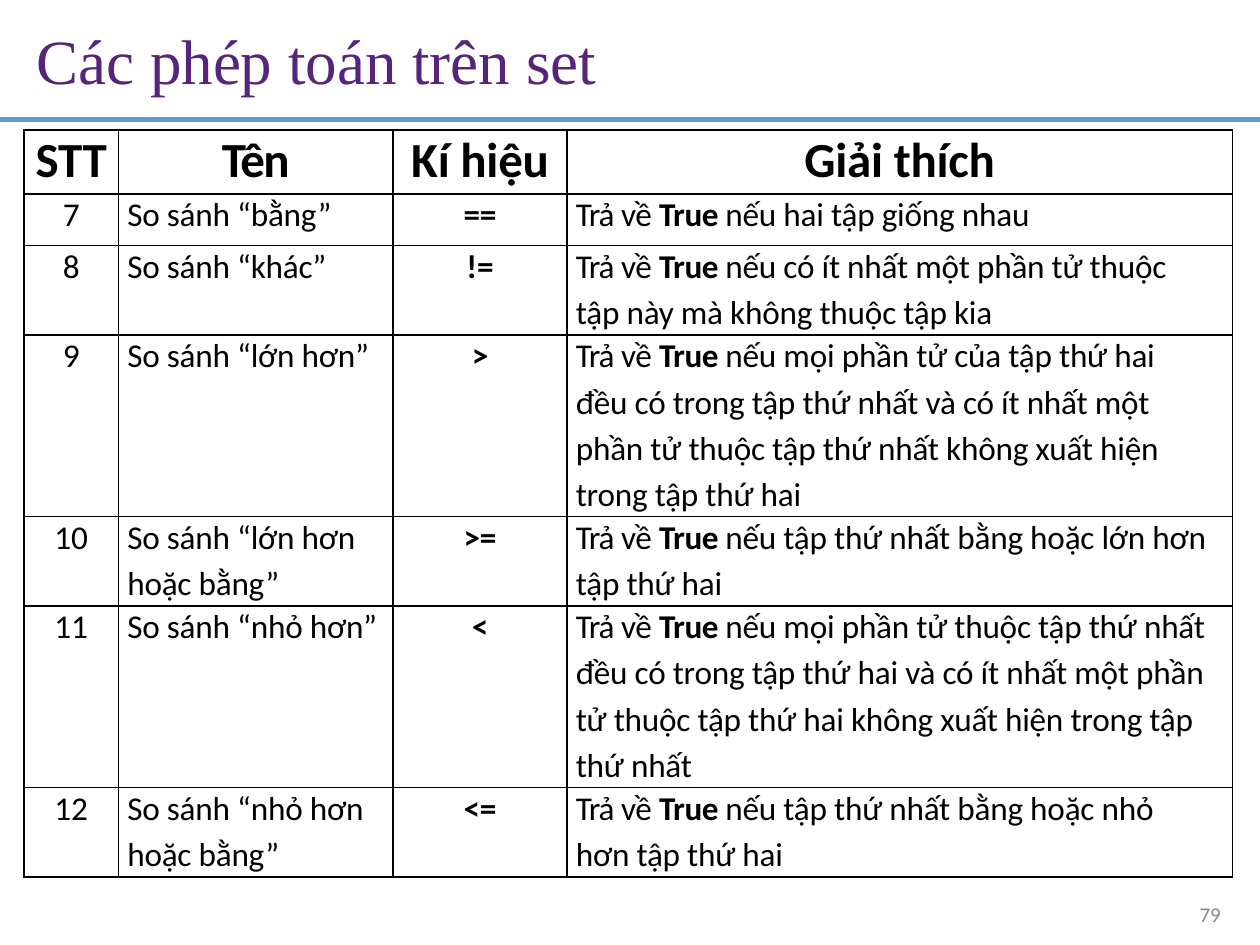
"""Build the slide that explains the comparison operators on sets."""
from dataclasses import dataclass

import lxml.etree
import pptx
import pptx.dml.color
import pptx.enum.shapes
import pptx.enum.text
import pptx.oxml
import pptx.oxml.ns
import pptx.util

WIDTH, HEIGHT = 10, 7.5
CENTER = pptx.enum.text.PP_ALIGN.CENTER
LEFT = pptx.enum.text.PP_ALIGN.LEFT
COLUMNS = (0.75, 2.18, 1.38, 5.28)
HEADER_HEIGHT = 0.51
LINE_HEIGHTS = {1: 0.41, 2: 0.71, 4: 1.44}
LINE_GAP = 3.4


@dataclass(frozen=True)
class Piece:
    text: str
    spacing: float = -0.1
    bold: bool | None = None


@dataclass(frozen=True)
class Line:
    pieces: tuple[Piece, ...]
    size: float = 19
    bold: bool | None = None
    align: pptx.enum.text.PP_ALIGN = LEFT
    before: float = 0.7
    leading: float | None = None
    font: str = "Calibri"
    color: str = "000000"
    indent: float = 0


@dataclass(frozen=True)
class Operator:
    number: int
    name: tuple[str, ...]
    symbol: str
    meaning: tuple[str, ...]
    lines: int


HEADINGS = (Piece("STT"), Piece("Tên", -0.9), Piece("Kí hiệu"), Piece("Giải thích"))
RETURNS_TRUE = (Piece("Trả ", -0.6), Piece("về ", -0.2), Piece("True ", -0.3, True))
OPERATORS = (
    Operator(7, ("So sánh “bằng”",), "==", ("nếu hai tập giống nhau",), 1),
    Operator(8, ("So sánh “khác”",), "!=",
             ("nếu có ít nhất một phần tử thuộc", "tập này mà không thuộc tập kia"), 2),
    Operator(9, ("So sánh “lớn hơn”",), ">",
             ("nếu mọi phần tử của tập thứ hai",
              "đều có trong tập thứ nhất và có ít nhất một",
              "phần tử thuộc tập thứ nhất không xuất hiện",
              "trong tập thứ hai"), 4),
    Operator(10, ("So sánh “lớn hơn", "hoặc bằng”"), ">=",
             ("nếu tập thứ nhất bằng hoặc lớn hơn", "tập thứ hai"), 2),
    Operator(11, ("So sánh “nhỏ hơn”",), "<",
             ("nếu mọi phần tử thuộc tập thứ nhất",
              "đều có trong tập thứ hai và có ít nhất một phần",
              "tử thuộc tập thứ hai không xuất hiện trong tập thứ nhất"), 4),
    Operator(12, ("So sánh “nhỏ hơn", "hoặc bằng”"), "<=",
             ("nếu tập thứ nhất bằng hoặc nhỏ", "hơn tập thứ hai"), 2),
)


def rgb(color: str) -> pptx.dml.color.RGBColor:
    """Turn a hex string into a colour."""
    return pptx.dml.color.RGBColor.from_string(color)


def write(frame, lines: list[Line]) -> None:
    """Fill a text frame with one paragraph per line."""
    for index, line in enumerate(lines):
        paragraph = frame.paragraphs[0] if index == 0 else frame.add_paragraph()
        paragraph.alignment = line.align
        paragraph.space_before = pptx.util.Pt(line.before)
        if line.leading:
            paragraph.line_spacing = line.leading
        properties = paragraph._p.get_or_add_pPr()
        properties.set("marL", str(pptx.util.Inches(line.indent)))
        properties.set("indent", "0")
        font = paragraph.font
        font.name, font.size, font.bold = line.font, pptx.util.Pt(line.size), line.bold
        font.color.rgb = rgb(line.color)
        for piece in line.pieces:
            run = paragraph.add_run()
            run.text = piece.text
            if piece.bold is not None:
                run.font.bold = piece.bold
            run.font._element.set("spc", str(round(piece.spacing * 100)))


def set_margins(area, top: float = 0.01) -> None:
    """Leave only a thin margin at the top of a cell or text frame."""
    area.margin_left = area.margin_right = area.margin_bottom = 0
    area.margin_top = pptx.util.Inches(top)


def draw_borders(cell, color: str, points: float) -> None:
    """Draw all four borders of a table cell."""
    properties = cell._tc.get_or_add_tcPr()
    for index, side in enumerate(("lnL", "lnR", "lnT", "lnB")):
        properties.insert(index, pptx.oxml.parse_xml(
            f'<a:{side} {pptx.oxml.ns.nsdecls("a")} w="{pptx.util.Pt(points)}">'
            f'<a:solidFill><a:srgbClr val="{color}"/></a:solidFill></a:{side}>'))


def explain(operator: Operator) -> list[Line]:
    """List the lines of an operator's explanation."""
    first, *rest = operator.meaning
    lines = [Line((*RETURNS_TRUE, Piece(first)), indent=0.07)]
    for text in rest:
        wraps = len(text) > 50
        lines.append(Line((Piece(text),), indent=0.07, before=0.1 if wraps else LINE_GAP,
                          leading=1.15 if wraps else None))
    return lines


def operator_cells(operator: Operator) -> list[list[Line]]:
    """List the contents of an operator's row."""
    name = [Line((Piece(text),), before=LINE_GAP if index else 0.7, indent=0.07)
            for index, text in enumerate(operator.name)]
    return [
        [Line((Piece(str(operator.number), 0),), align=CENTER)],
        name,
        [Line((Piece(operator.symbol),), bold=True, align=CENTER)],
        explain(operator),
    ]


def add_operator_table(slide) -> None:
    """Add the table of operators."""
    heights = [HEADER_HEIGHT, *(LINE_HEIGHTS[operator.lines] for operator in OPERATORS)]
    table = slide.shapes.add_table(
        len(heights), len(COLUMNS), pptx.util.Inches(0.19), pptx.util.Inches(1.03),
        pptx.util.Inches(sum(COLUMNS)), pptx.util.Inches(sum(heights))).table
    table.first_row = table.horz_banding = False
    for column, width in zip(table.columns, COLUMNS):
        column.width = pptx.util.Inches(width)
    header = [[Line((heading,), 28, True, CENTER, 1.1)] for heading in HEADINGS]
    contents = [header, *map(operator_cells, OPERATORS)]
    for row, height, row_contents in zip(table.rows, heights, contents):
        row.height = pptx.util.Inches(height)
        for cell, lines in zip(row.cells, row_contents):
            set_margins(cell)
            cell.fill.background()
            draw_borders(cell, "000000", 1)
            write(cell.text_frame, lines)


def add_title(slide) -> None:
    """Place and format the title."""
    title = slide.shapes.title
    title.left, title.top = pptx.util.Inches(0.28), pptx.util.Inches(0.16)
    title.width, title.height = pptx.util.Inches(4.47), pptx.util.Inches(0.63)
    frame = title.text_frame
    set_margins(frame)
    frame.word_wrap = True
    frame.vertical_anchor = pptx.enum.text.MSO_ANCHOR.TOP
    write(frame, [Line((Piece("Các phép toán trên ", 0), Piece("set")), 36, before=1,
                       font="Times New Roman", color="56247C", indent=0.01)])


def add_rule(slide) -> None:
    """Draw the line under the title across the slide."""
    y = pptx.util.Inches(0.95)
    rule = slide.shapes.add_connector(
        pptx.enum.shapes.MSO_CONNECTOR.STRAIGHT, 0, y, pptx.util.Inches(WIDTH), y)
    rule.line.color.rgb = rgb("5B9BD4")
    rule.line.width = pptx.util.Pt(3)
    lxml.etree.SubElement(rule._element.spPr, pptx.oxml.ns.qn("a:effectLst"))


def add_page_number(slide) -> None:
    """Add the page number at the bottom right."""
    frame = slide.shapes.add_textbox(
        pptx.util.Inches(9.48), pptx.util.Inches(7.18),
        pptx.util.Inches(0.25), pptx.util.Inches(0.19)).text_frame
    set_margins(frame, 0)
    frame.word_wrap = True
    write(frame, [Line((Piece("79", 0),), 12, before=0, leading=pptx.util.Pt(12.4),
                       color="888888", indent=0.04)])


def main() -> None:
    """Build and save the presentation."""
    presentation = pptx.Presentation()
    presentation.slide_width = pptx.util.Inches(WIDTH)
    presentation.slide_height = pptx.util.Inches(HEIGHT)
    slide = presentation.slides.add_slide(presentation.slide_layouts.get_by_name("Title Only"))
    add_rule(slide)
    add_title(slide)
    add_page_number(slide)
    add_operator_table(slide)
    presentation.save("out.pptx")


if __name__ == "__main__":
    main()
